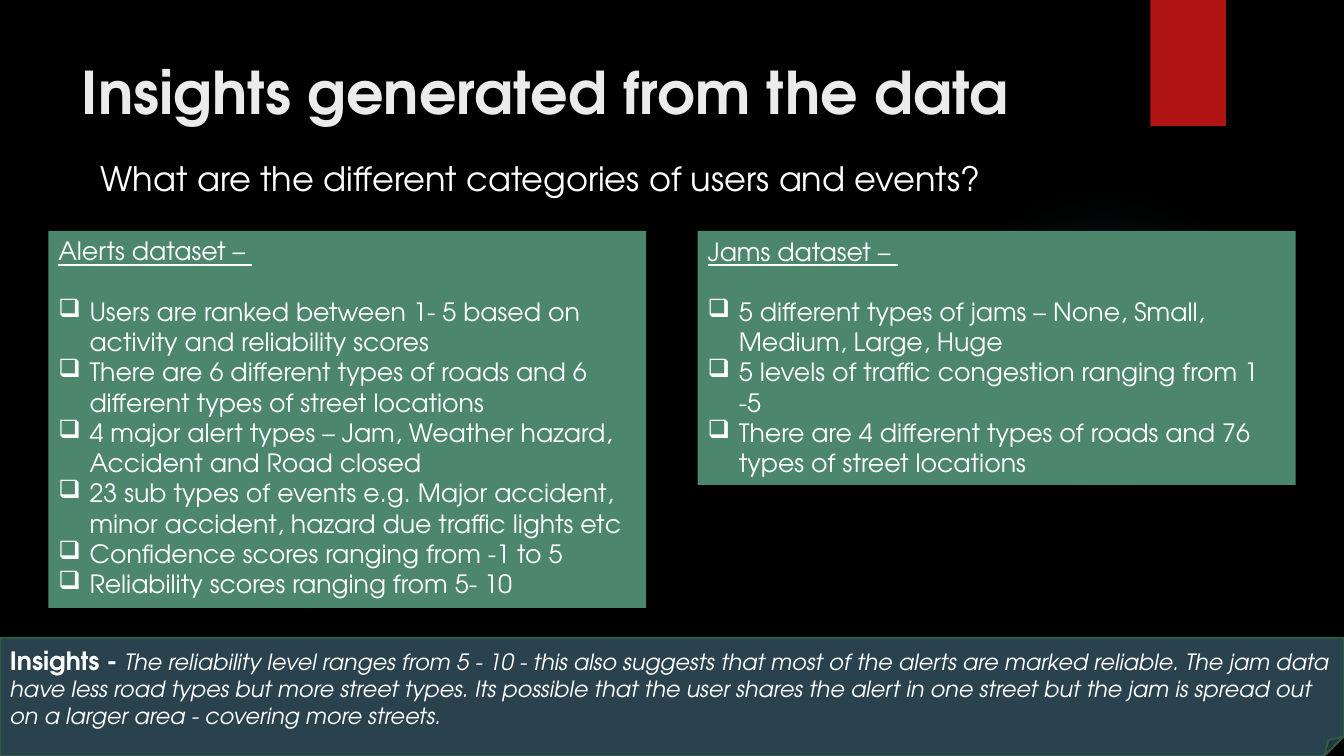
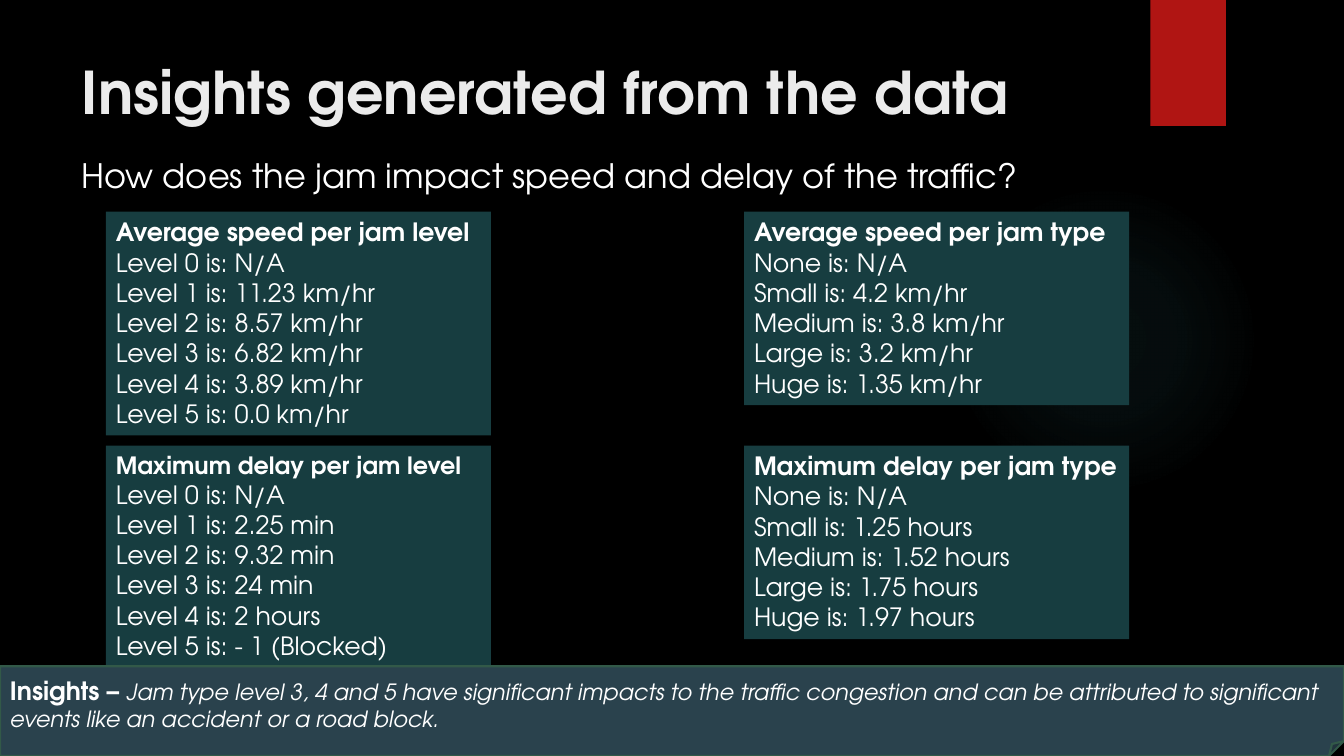
"""Build two dark slides of traffic insights with text cards and a closing band."""
from lxml import etree
from pptx import Presentation
from pptx.dml.color import RGBColor
from pptx.enum.shapes import MSO_SHAPE
from pptx.enum.text import MSO_ANCHOR, MSO_AUTO_SIZE, PP_ALIGN
from pptx.oxml import parse_xml
from pptx.oxml.ns import nsdecls, qn
from pptx.util import Inches, Pt

FONT = "TeX Gyre Adventor"
COLORS = {
    "background": "000000", "title": "EBEBEB", "text": "FFFFFF", "tab": "B01513",
    "glow": "50B9C1", "dataset": "4B866D", "measure": "173D40",
    "band": "2A424D", "band_line": "325948",
}
WIDTH, HEIGHT = 13.33, 7.5
TITLE = "Insights generated from the data"
GLOW_STOPS = [(0, 7), (36, 6), (69, 0)]

DATASET_STYLE = {"fill": "dataset", "underline": True, "bullet": "❑", "gap": 21.6}
MEASURE_STYLE = {"fill": "measure", "bold": True}

SLIDES = [
    {
        "title_height": 1.53,
        "question": ("What are the different categories of users and events?", 0.9, 1.52, 11.54),
        "style": DATASET_STYLE,
        "columns": (0.48, 6.92),
        "rows": (2.29,),
        "card_width": 5.93,
        "cards": [
            (0, 0, 3.74, 18, "Alerts dataset – ", [
                "Users are ranked between 1- 5 based on activity and reliability scores",
                "There are 6 different types of roads and 6 different types of street locations",
                "4 major alert types – Jam, Weather hazard, Accident and Road closed",
                "23 sub types of events e.g. Major accident, minor accident, "
                "hazard due traffic lights etc",
                "Confidence scores ranging from -1 to 5",
                "Reliability scores ranging from 5- 10",
            ]),
            (1, 0, 2.52, 18, "Jams dataset – ", [
                "5 different types of jams – None, Small, Medium, Large, Huge",
                "5 levels of traffic congestion ranging from 1 -5",
                "There are 4 different types of roads and 76 types of street locations",
            ]),
        ],
        "band_height": 1.17,
        "insight": ("Insights - ",
                    "The reliability level ranges from 5 - 10 - this also suggests that most of "
                    "the alerts are marked reliable. The jam data have less road types but more "
                    "street types. Its possible that the user shares the alert in one street but "
                    "the jam is spread out on a larger area - covering more streets."),
    },
    {
        "title_height": 0.89,
        "question": ("How does the jam impact speed and delay of the traffic?", 0.71, 1.49, 11.26),
        "style": MEASURE_STYLE,
        "columns": (1.05, 7.38),
        "rows": (2.1, 4.42),
        "card_width": 3.82,
        "cards": [
            (0, 0, 2.22, 18, "Average speed per jam level", [
                "Level 0 is: N/A", "Level 1 is: 11.23 km/hr", "Level 2 is: 8.57 km/hr",
                "Level 3 is: 6.82 km/hr", "Level 4 is: 3.89 km/hr", "Level 5 is: 0.0 km/hr",
            ]),
            (0, 1, 2.2, 17, "Maximum delay per jam level", [
                "Level 0 is: N/A", "Level 1 is: 2.25 min", "Level 2 is: 9.32 min",
                "Level 3 is: 24 min", "Level 4 is: 2 hours", "Level 5 is: - 1 (Blocked)",
            ]),
            (1, 0, 1.92, 18, "Average speed per jam type", [
                "None is: N/A", "Small is: 4.2 km/hr", "Medium is: 3.8 km/hr",
                "Large is: 3.2 km/hr", "Huge is: 1.35 km/hr",
            ]),
            (1, 1, 1.92, 18, "Maximum delay per jam type", [
                "None is: N/A", "Small is: 1.25 hours", "Medium is: 1.52 hours",
                "Large is: 1.75 hours", "Huge is: 1.97 hours",
            ]),
        ],
        "band_height": 0.89,
        "insight": ("Insights – ",
                    "Jam type level 3, 4 and 5 have significant impacts to the traffic congestion "
                    "and can be attributed to significant events like an accident or a road "
                    "block."),
    },
]


def color(name):
    """Return the named colour."""
    return RGBColor.from_string(COLORS[name])


def set_font(font, size, name="text", **flags):
    """Give a font the shared face, a size, a colour and any flags."""
    font.name, font.size = FONT, Pt(size)
    font.color.rgb = color(name)
    for flag, value in flags.items():
        setattr(font, flag, value)


def add_plain_shape(slide, kind, box, fill):
    """Add a filled shape without line or shadow."""
    shape = slide.shapes.add_shape(kind, *map(Inches, box))
    shape.shadow.inherit = False
    shape.fill.solid()
    shape.fill.fore_color.rgb = color(fill)
    shape.line.fill.background()
    return shape


def add_text_box(slide, box):
    """Add a wrapping text box that grows with its text."""
    shape = slide.shapes.add_textbox(*map(Inches, box))
    shape.text_frame.word_wrap = True
    shape.text_frame.auto_size = MSO_AUTO_SIZE.SHAPE_TO_FIT_TEXT
    return shape


def decorate_layout(layout, slide):
    """Put the background, glow and red tab on the layout."""
    layout.background.fill.solid()
    layout.background.fill.fore_color.rgb = color("background")
    for placeholder in list(layout.placeholders)[1:]:
        placeholder.element.getparent().remove(placeholder.element)

    glow = add_plain_shape(slide, MSO_SHAPE.OVAL, (9.41, 1.83, 3.08, 3.08), "glow")
    stops = "".join(
        f'<a:gs pos="{position * 1000}"><a:srgbClr val="{COLORS["glow"]}">'
        f'<a:alpha val="{alpha * 1000}"/></a:srgbClr></a:gs>'
        for position, alpha in GLOW_STOPS)
    solid = glow.element.spPr.find(qn("a:solidFill"))
    glow.element.spPr.replace(solid, parse_xml(
        f'<a:gradFill {nsdecls("a")}><a:gsLst>{stops}</a:gsLst><a:path path="circle">'
        '<a:fillToRect l="50000" t="50000" r="50000" b="50000"/></a:path></a:gradFill>'))

    tab = add_plain_shape(slide, MSO_SHAPE.RECTANGLE, (11.41, 0, 0.75, 1.25), "tab")
    tab.element.spPr.find(qn("a:effectLst")).append(parse_xml(
        f'<a:outerShdw {nsdecls("a")} blurRad="{Pt(3)}" dist="{Pt(2)}" dir="5400000">'
        '<a:srgbClr val="000000"><a:alpha val="45000"/></a:srgbClr></a:outerShdw>'))

    for shape in (glow, tab):
        layout.shapes.element.append(shape.element)


def add_heading(slide, title_height, question):
    """Place the title and the question below it."""
    title = slide.shapes.title
    title.left, title.top, title.width, title.height = map(
        Inches, (0.71, 0.5, 10.29, title_height))
    frame = title.text_frame
    frame.text = TITLE
    frame.vertical_anchor = MSO_ANCHOR.TOP
    frame.paragraphs[0].alignment = PP_ALIGN.LEFT
    set_font(frame.paragraphs[0].font, 42, "title", bold=True)

    text, left, top, width = question
    paragraph = add_text_box(slide, (left, top, width, 0.5)).text_frame.paragraphs[0]
    paragraph.text = text
    set_font(paragraph.font, 24)


def add_bullet(paragraph, character):
    """Give a paragraph a hanging bullet."""
    properties = paragraph._p.get_or_add_pPr()
    properties.set("marL", str(Inches(0.31)))
    properties.set("indent", str(-Inches(0.31)))
    etree.SubElement(properties, qn("a:buChar")).set("char", character)


def add_card(slide, box, heading, heading_size, lines, style):
    """Add a coloured card with a heading and its lines."""
    card = add_text_box(slide, box)
    card.fill.solid()
    card.fill.fore_color.rgb = color(style["fill"])
    frame = card.text_frame
    paragraph = frame.paragraphs[0]
    paragraph.text = heading
    paragraph.space_after = Pt(style.get("gap", 0))
    set_font(paragraph.font, heading_size, bold=style.get("bold", False),
             underline=style.get("underline", False))
    for line in lines:
        paragraph = frame.add_paragraph()
        paragraph.text = line
        if "bullet" in style:
            add_bullet(paragraph, style["bullet"])
        set_font(paragraph.font, 18)


def add_insight_band(slide, height, insight):
    """Add the folded band along the bottom edge."""
    band = add_plain_shape(
        slide, MSO_SHAPE.FOLDED_CORNER, (0, HEIGHT - height, WIDTH, height), "band")
    band.line.color.rgb = color("band_line")
    band.line.width = Pt(1.5)
    frame = band.text_frame
    frame.word_wrap = True
    frame.vertical_anchor = MSO_ANCHOR.MIDDLE
    paragraph = frame.paragraphs[0]
    paragraph.alignment = PP_ALIGN.LEFT
    label, message = (paragraph.add_run() for _ in insight)
    label.text, message.text = insight
    set_font(label.font, 18, bold=True)
    set_font(message.font, 16, italic=True)


def main():
    """Build and save the presentation."""
    presentation = Presentation()
    presentation.slide_width, presentation.slide_height = Inches(WIDTH), Inches(HEIGHT)
    layout = presentation.slide_layouts[5]
    for number, content in enumerate(SLIDES):
        slide = presentation.slides.add_slide(layout)
        if number == 0:
            decorate_layout(layout, slide)
        add_heading(slide, content["title_height"], content["question"])
        for column, row, height, heading_size, heading, lines in content["cards"]:
            box = (content["columns"][column], content["rows"][row],
                   content["card_width"], height)
            add_card(slide, box, heading, heading_size, lines, content["style"])
        add_insight_band(slide, content["band_height"], content["insight"])
    presentation.save("out.pptx")


if __name__ == "__main__":
    main()
